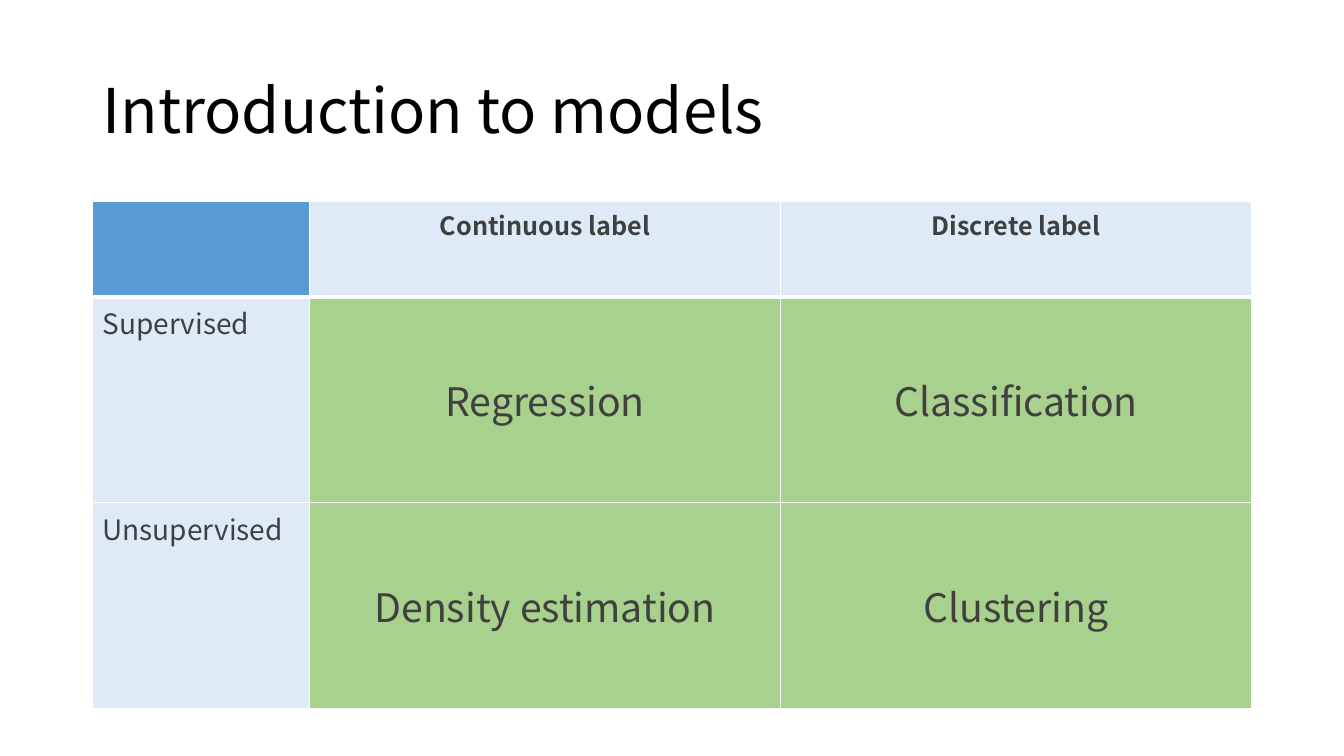
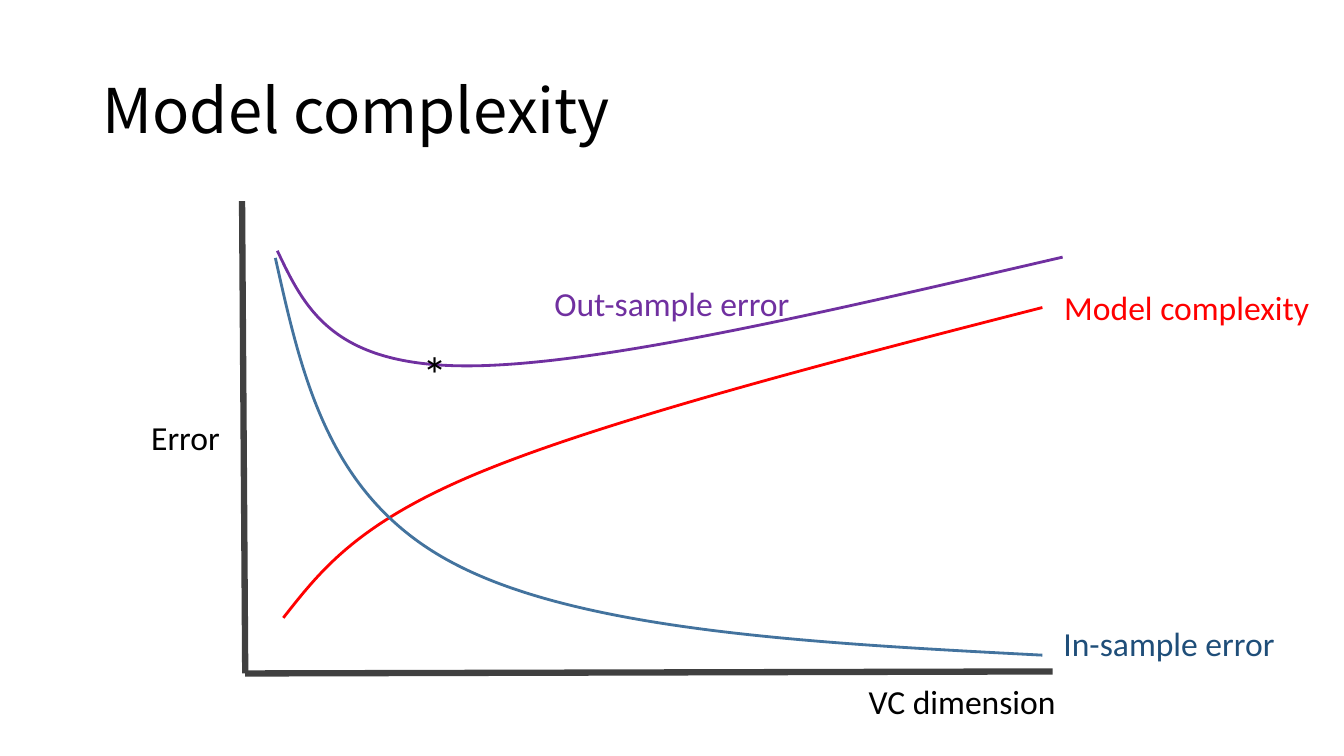
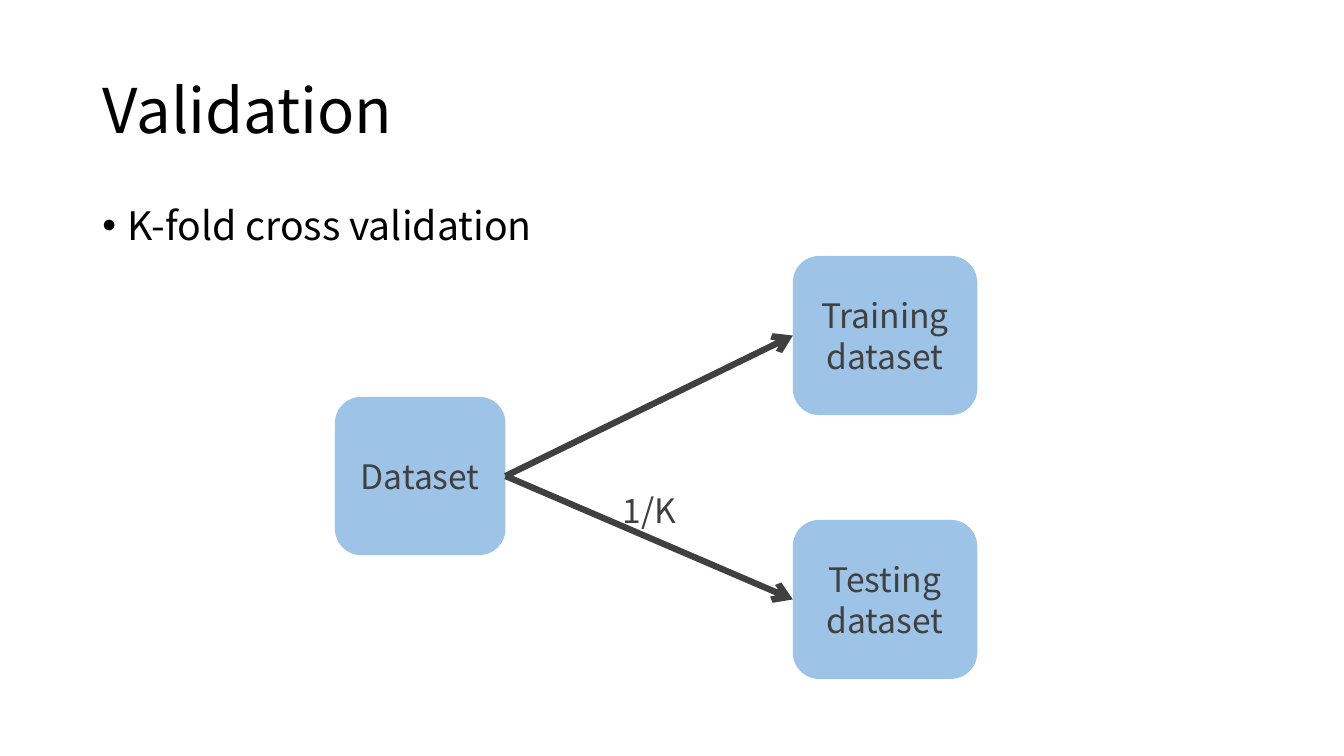
import collections

import lxml.etree
import pptx
import pptx.dml.color
import pptx.enum.shapes
import pptx.enum.text
import pptx.oxml.ns
import pptx.util

Cm = pptx.util.Cm
Pt = pptx.util.Pt
RGBColor = pptx.dml.color.RGBColor
MSO_ANCHOR = pptx.enum.text.MSO_ANCHOR
PP_ALIGN = pptx.enum.text.PP_ALIGN
MSO_AUTO_SIZE = pptx.enum.text.MSO_AUTO_SIZE
MSO_SHAPE = pptx.enum.shapes.MSO_SHAPE
MSO_CONNECTOR = pptx.enum.shapes.MSO_CONNECTOR
qn = pptx.oxml.ns.qn

Box = collections.namedtuple("Box", "left top width height")

BLACK = RGBColor(0x00, 0x00, 0x00)
WHITE = RGBColor(0xFF, 0xFF, 0xFF)
CHARCOAL = RGBColor(0x40, 0x40, 0x40)
BLUE = RGBColor(0x5B, 0x9B, 0xD5)
PALE_BLUE = RGBColor(0xDE, 0xEB, 0xF7)
SKY_BLUE = RGBColor(0x9D, 0xC3, 0xE6)
STEEL_BLUE = RGBColor(0x43, 0x73, 0x9E)
NAVY = RGBColor(0x1F, 0x4E, 0x79)
GREEN = RGBColor(0xA9, 0xD1, 0x8E)
RED = RGBColor(0xFF, 0x00, 0x00)
PURPLE = RGBColor(0x70, 0x30, 0xA0)

MAIN_FONT = "Noto Sans CJK TC"
LABEL_FONT = "Calibri"
TITLE_BOX = Box(2.33, 1.01, 29.21, 3.68)
TABLE_BOX = Box(2.33, 5.08, 29.21, 12.77)
BODY_BOX = Box(2.33, 5.08, 29.21, 12.09)
PLOT_BOX = Box(6.1, 5.07, 20.43, 11.9)
FLOW_BOX = Box(8.44, 6.45, 16.19, 10.66)


def inside(box, left, top, width, height):
    """Return a box given by offsets from another box."""
    return Box(box.left + left, box.top + top, width, height)


def in_cm(values):
    """Turn numbers into lengths."""
    return [Cm(value) for value in values]


def format_text(frame, size, color, font=MAIN_FONT, bold=False,
                align=PP_ALIGN.LEFT):
    """Give all text in a frame one look."""
    for para in frame.paragraphs:
        para.alignment = align
        for span in para.runs:
            span.font.name = font
            span.font.size = Pt(size)
            span.font.bold = bold
            span.font.color.rgb = color


def add_titled_slide(deck, title):
    """Add a slide with the shared title style."""
    slide = deck.slides.add_slide(deck.slide_layouts[5])
    holder = slide.shapes.title
    holder.left, holder.top, holder.width, holder.height = in_cm(TITLE_BOX)
    frame = holder.text_frame
    frame.text = title
    frame.vertical_anchor = MSO_ANCHOR.MIDDLE
    frame.paragraphs[0].line_spacing = 0.9
    format_text(frame, 44, BLACK)
    return slide


def add_label(slide, box, text, size, color, font=MAIN_FONT, wrap=True,
              align=PP_ALIGN.LEFT, resize=MSO_AUTO_SIZE.SHAPE_TO_FIT_TEXT):
    """Add a text box and return its frame."""
    frame = slide.shapes.add_textbox(*in_cm(box)).text_frame
    frame.word_wrap = wrap
    frame.auto_size = resize
    frame.text = text
    format_text(frame, size, color, font, align=align)
    return frame


def add_line(slide, start=(0, 0), end=(0, 0), arrow=False):
    """Add a thick dark connector without a shadow."""
    line = slide.shapes.add_connector(
        MSO_CONNECTOR.STRAIGHT, *in_cm((*start, *end)))
    line.line.color.rgb = CHARCOAL
    line.line.width = Pt(4.5)
    if arrow:
        lxml.etree.SubElement(
            line.line._get_or_add_ln(), qn("a:tailEnd"), type="arrow")
    lxml.etree.SubElement(line._element.spPr, qn("a:effectLst"))
    return line


def set_borders(cell, **widths):
    """Draw white cell borders with the given widths in points."""
    properties = cell._tc.get_or_add_tcPr()
    for index, side in enumerate("LRTB"):
        border = lxml.etree.Element(
            qn("a:ln" + side), w=str(Pt(widths.get(side, 1))))
        fill = lxml.etree.SubElement(border, qn("a:solidFill"))
        lxml.etree.SubElement(fill, qn("a:srgbClr"), val=str(WHITE))
        properties.insert(index, border)


def add_model_table(slide, box):
    """Add the grid of model types."""
    rows = [
        ["", "Continuous label", "Discrete label"],
        ["Supervised", "Regression", "Classification"],
        ["Unsupervised", "Density estimation", "Clustering"],
    ]
    head_width, head_height = 5.47, 2.4
    table = slide.shapes.add_table(3, 3, *in_cm(box)).table
    table.horz_banding = False
    for index in range(3):
        table.columns[index].width = Cm(
            (box.width - head_width) / 2 if index else head_width)
        table.rows[index].height = Cm(
            (box.height - head_height) / 2 if index else head_height)
    for row, texts in enumerate(rows):
        for column, text in enumerate(texts):
            cell = table.cell(row, column)
            cell.text = text
            inner = row > 0 and column > 0
            size = 28 if inner else 20 if row else 18
            fill = GREEN if inner else PALE_BLUE if text else BLUE
            cell.fill.solid()
            cell.fill.fore_color.rgb = fill
            cell.vertical_anchor = MSO_ANCHOR.MIDDLE if inner else MSO_ANCHOR.TOP
            format_text(cell.text_frame, size, CHARCOAL, bold=row == 0,
                        align=PP_ALIGN.CENTER if column else PP_ALIGN.LEFT)
            set_borders(cell, T=3 if row == 1 else 1, B=1 if row else 3)


def add_curve(slide, box, knots, color):
    """Add an open curve of cubic Bézier segments inside a box."""
    points = [in_cm((box.left + x, box.top + y)) for x, y in knots]
    builder = slide.shapes.build_freeform(*points[0])
    builder.add_line_segments(points[1:], close=False)
    curve = builder.convert_to_shape()
    steps = list(curve._element.iter(qn("a:lnTo")))
    for first in range(0, len(steps), 3):
        bend = lxml.etree.SubElement(steps[first].getparent(), qn("a:cubicBezTo"))
        for step in steps[first:first + 3]:
            step.getparent().remove(step)
            bend.append(step[0])
    curve.shadow.inherit = False
    curve.fill.background()
    curve.line.color.rgb = color
    curve.line.width = Pt(2)


def add_error_plot(slide, box):
    """Draw the axes, error curves and labels."""
    corner = (box.left + 0.08, box.top + box.height)
    add_line(slide, (box.left, box.top), corner)
    add_line(slide, (box.left + box.width, corner[1] - 0.05), corner)
    curves = [
        (RED, [(1.04, 10.5), (1.98, 9.31), (2.9, 8.09), (6.1, 6.79),
               (9.27, 5.5), (14.73, 4.07), (20.17, 2.68)]),
        (STEEL_BLUE, [(0.84, 1.43), (1.52, 4.46), (2.18, 7.5), (5.38, 9.15),
                      (8.61, 10.83), (14.4, 11.14), (20.17, 11.44)]),
        (PURPLE, [(0.89, 1.25), (1.57, 2.68), (2.26, 4.12), (5.56, 4.15),
                  (8.86, 4.18), (14.76, 2.78), (20.68, 1.41)]),
    ]
    for color, knots in curves:
        add_curve(slide, box, knots, color)
    labels = [
        ("Error", BLACK, 24, (-2.54, 5.32, 2.36, 1.27)),
        ("Model complexity", RED, 24, (20.47, 2.04, 6.73, 1.27)),
        ("In-sample error", NAVY, 24, (20.45, 10.5, 5.99, 1.27)),
        ("Out-sample error", PURPLE, 24, (7.62, 1.94, 6.73, 1.27)),
        ("*", BLACK, 36, (4.29, 3.46, 0.79, 1.8)),
        ("VC dimension", BLACK, 24, (15.54, 11.97, 5.59, 1.27)),
    ]
    for text, color, size, place in labels:
        add_label(slide, inside(box, *place), text, size, color, LABEL_FONT)


def add_bullet(slide, box, text):
    """Add one bulleted line."""
    frame = add_label(slide, box, text, 28, BLACK, resize=MSO_AUTO_SIZE.NONE)
    para = frame.paragraphs[0]
    para.line_spacing = 0.9
    para.space_before = Pt(10)
    properties = para._p.get_or_add_pPr()
    indent = Cm(0.64)
    properties.set("marL", str(indent))
    properties.set("indent", str(-indent))
    lxml.etree.SubElement(properties, qn("a:buFont"), typeface="Arial")
    lxml.etree.SubElement(properties, qn("a:buChar"), char="•")


def add_node(slide, box, text):
    """Add a rounded box with centred text."""
    node = slide.shapes.add_shape(MSO_SHAPE.ROUNDED_RECTANGLE, *in_cm(box))
    node.shadow.inherit = False
    node.fill.solid()
    node.fill.fore_color.rgb = SKY_BLUE
    node.line.fill.background()
    node.text_frame.text = text
    node.text_frame.word_wrap = True
    node.text_frame.vertical_anchor = MSO_ANCHOR.MIDDLE
    format_text(node.text_frame, 24, CHARCOAL, align=PP_ALIGN.CENTER)
    return node


def add_split_flow(slide, box):
    """Draw the dataset split into training and testing parts."""
    width, height = 4.65, 4.01
    left = box.width - width
    targets = [
        add_node(slide, inside(box, left, top, width, height), text)
        for text, top in (("Training dataset", 0),
                          ("Testing dataset", box.height - height))
    ]
    add_label(slide, inside(box, 6.98, 5.77, 1.88, 1.27), "1/K", 24, CHARCOAL,
              wrap=False, align=PP_ALIGN.CENTER)
    source = add_node(slide, inside(box, 0, 3.55, 4.3, 3.99), "Dataset")
    for target in targets:
        arrow = add_line(slide, arrow=True)
        arrow.begin_connect(source, 3)
        arrow.end_connect(target, 1)


def main():
    """Build and save the deck."""
    deck = pptx.Presentation()
    deck.slide_width, deck.slide_height = Cm(33.87), Cm(19.05)
    add_model_table(add_titled_slide(deck, "Introduction to models"), TABLE_BOX)
    add_error_plot(add_titled_slide(deck, "Model complexity"), PLOT_BOX)
    validation = add_titled_slide(deck, "Validation")
    add_bullet(validation, BODY_BOX, "K-fold cross validation")
    add_split_flow(validation, FLOW_BOX)
    deck.save("out.pptx")


if __name__ == "__main__":
    main()
